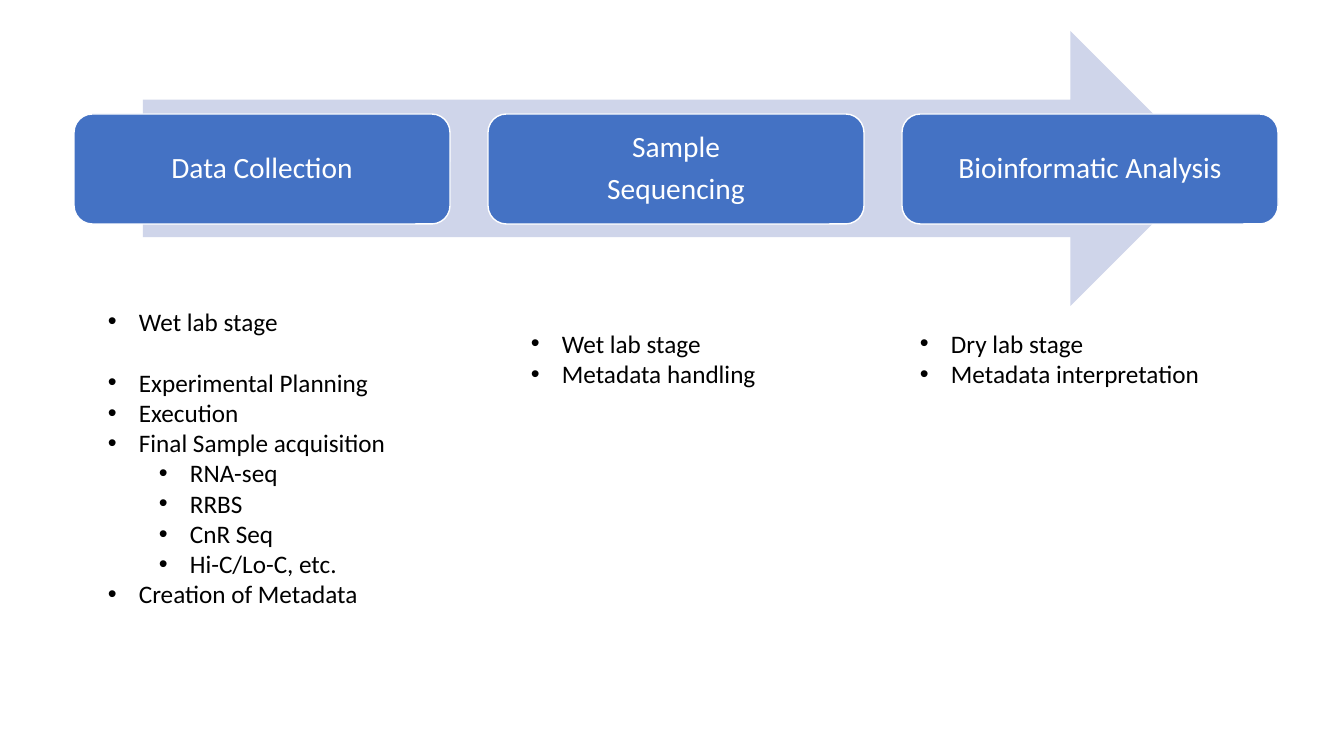
"""Build a slide of three workflow stages on an arrow, with bullet notes below."""
from lxml import etree
from pptx import Presentation, util as u
from pptx.dml.color import RGBColor
from pptx.enum import shapes, text
from pptx.oxml.ns import qn

STAGES = [
    {
        "title": ["Data Collection"],
        "notes_at": (98, 301, 336, 346),
        "notes": [
            (0, "Wet lab stage", 22),
            (0, "Experimental Planning", 0),
            (0, "Execution", 0),
            (0, "Final Sample acquisition", 0),
            (1, "RNA-seq", 0),
            (1, "RRBS", 0),
            (1, "CnR Seq", 0),
            (1, "Hi-C/Lo-C, etc.", 0),
            (0, "Creation of Metadata", 0),
        ],
    },
    {
        "title": ["Sample", "Sequencing"],
        "notes_at": (521, 323, 336, 72),
        "notes": [(0, "Wet lab stage", 0), (0, "Metadata handling", 0)],
    },
    {
        "title": ["Bioinformatic Analysis"],
        "notes_at": (910, 323, 336, 72),
        "notes": [(0, "Dry lab stage", 0), (0, "Metadata interpretation", 0)],
    },
]

FONT = "Calibri"
WHITE = RGBColor(0xFF, 0xFF, 0xFF)
BLACK = RGBColor(0x00, 0x00, 0x00)
BLUE = RGBColor(0x44, 0x72, 0xC4)
PALE_BLUE = RGBColor(0xCF, 0xD5, 0xEA)

PX_PER_INCH = 100.8
SLIDE_SIZE = (1344, 756)
ARROW = (143, 31, 1065, 275)
BOX_LEFT, BOX_TOP, BOX_WIDTH, BOX_HEIGHT = 74, 114, 376, 110
BOX_GAP = 38
BOX_INSET = 14
BULLET_INDENT, LEVEL_STEP = 31, 51


def px(length):
    return u.Inches(length / PX_PER_INCH)


def add_filled_shape(slide, kind, place, color):
    shape = slide.shapes.add_shape(kind, *map(px, place))
    shape.shadow.inherit = False
    shape.fill.solid()
    shape.fill.fore_color.rgb = color
    shape.line.fill.background()
    return shape


def add_run(paragraph, words, size, color):
    run = paragraph.add_run()
    run.text = words
    run.font.name = FONT
    run.font.size = u.Pt(size)
    run.font.color.rgb = color


def next_paragraph(frame, index):
    return frame.add_paragraph() if index else frame.paragraphs[0]


def add_stage_box(slide, column, lines):
    left = BOX_LEFT + column * (BOX_WIDTH + BOX_GAP)
    box = add_filled_shape(slide, shapes.MSO_SHAPE.ROUNDED_RECTANGLE,
                           (left, BOX_TOP, BOX_WIDTH, BOX_HEIGHT), BLUE)
    box.line.color.rgb = WHITE
    box.line.width = u.Pt(1)
    frame = box.text_frame
    frame.word_wrap = True
    frame.vertical_anchor = text.MSO_ANCHOR.MIDDLE
    frame.margin_left = frame.margin_right = px(BOX_INSET)
    frame.margin_top = frame.margin_bottom = px(BOX_INSET)
    for index, words in enumerate(lines):
        paragraph = next_paragraph(frame, index)
        paragraph.alignment = text.PP_ALIGN.CENTER
        paragraph.line_spacing = 0.9
        paragraph.space_after = u.Pt(7.35)
        add_run(paragraph, words, 21, WHITE)


def add_bullet(paragraph, level):
    paragraph.level = level
    properties = paragraph._p.get_or_add_pPr()
    properties.set("marL", str(px(BULLET_INDENT + level * LEVEL_STEP)))
    properties.set("indent", str(-px(BULLET_INDENT)))
    etree.SubElement(properties, qn("a:buFont")).set("typeface", "Arial")
    etree.SubElement(properties, qn("a:buChar")).set("char", "•")


def add_notes_list(slide, place, notes):
    frame = slide.shapes.add_textbox(*map(px, place)).text_frame
    frame.word_wrap = True
    for index, (level, words, space_after) in enumerate(notes):
        paragraph = next_paragraph(frame, index)
        add_bullet(paragraph, level)
        paragraph.space_after = u.Pt(space_after)
        add_run(paragraph, words, 18, BLACK)


def main():
    presentation = Presentation()
    presentation.slide_width, presentation.slide_height = map(px, SLIDE_SIZE)
    slide = presentation.slides.add_slide(presentation.slide_layouts[6])
    add_filled_shape(slide, shapes.MSO_SHAPE.RIGHT_ARROW, ARROW, PALE_BLUE)
    for column, stage in enumerate(STAGES):
        add_stage_box(slide, column, stage["title"])
        add_notes_list(slide, stage["notes_at"], stage["notes"])
    presentation.save("out.pptx")


if __name__ == "__main__":
    main()
